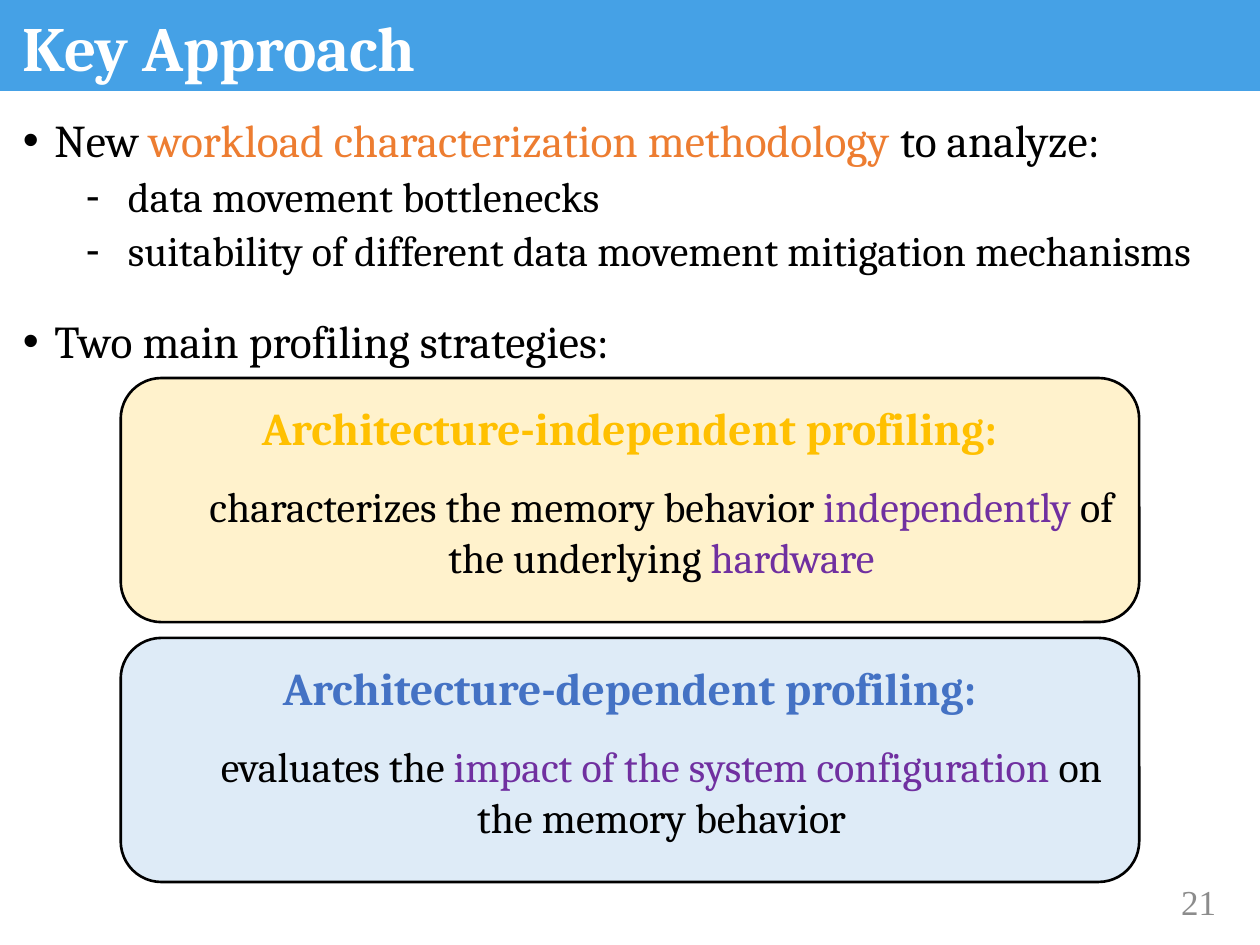
from lxml.etree import SubElement
from pptx import Presentation
from pptx.dml.color import RGBColor
from pptx.enum.shapes import MSO_SHAPE
from pptx.enum.text import MSO_ANCHOR, PP_ALIGN
from pptx.oxml.ns import qn
from pptx.util import Pt

COLORS = {
    "band": "45A1E6", "white": "FFFFFF", "black": "000000",
    "orange": "ED7D31", "purple": "7030A0", "gray": "8C8C8C",
    "gold": "FFC000", "cream": "FFF2CC",
    "blue": "4472C4", "pale_blue": "DEEBF7",
}
SERIF = "Cambria"


def color(name):
    return RGBColor.from_string(COLORS[name])


def add_runs(paragraph, pieces, size, bold=False, font=SERIF):
    """Add (text, color name) pieces that share one font."""
    for text, color_name in pieces:
        run = paragraph.add_run()
        run.text = text
        run.font.name = font
        run.font.size = Pt(size)
        run.font.bold = bold
        run.font.color.rgb = color(color_name)


def indent(paragraph, margin, first=0, bullet=None):
    properties = paragraph._p.get_or_add_pPr()
    properties.set("marL", str(Pt(margin)))
    properties.set("indent", str(Pt(first)))
    if bullet:
        SubElement(properties, qn("a:buFont")).set("typeface", "Arial")
        SubElement(properties, qn("a:buChar")).set("char", bullet)


def add_text_frame(slide, box):
    frame = slide.shapes.add_textbox(*map(Pt, box)).text_frame
    frame.word_wrap = True
    return frame


def add_block(slide, kind, box, fill):
    block = slide.shapes.add_shape(kind, *map(Pt, box))
    block.shadow.inherit = False
    block.fill.solid()
    block.fill.fore_color.rgb = color(fill)
    return block


def add_header(slide, box, title):
    left, top, width, height = box
    band = add_block(slide, MSO_SHAPE.RECTANGLE, box, "band")
    band.line.fill.background()
    frame = add_text_frame(slide, (left + 6, top + 8, width - 12, height + 4))
    heading = frame.paragraphs[0]
    heading.line_spacing = 0.9
    add_runs(heading, [(title, "white")], 36, bold=True)


def add_outline(slide, box, items):
    """Place bullets given as (level, space before, pieces)."""
    styles = [(26, 18, -18, "•"), (24, 60, -24, "-")]
    frame = add_text_frame(slide, box)
    for index, (level, space, pieces) in enumerate(items):
        size, margin, first, bullet = styles[level]
        item = frame.add_paragraph() if index else frame.paragraphs[0]
        item.level = level
        item.line_spacing = 0.9
        item.space_before = Pt(space)
        indent(item, margin, first, bullet)
        add_runs(item, pieces, size)


def add_strategy(slide, box, fill, accent, title, description):
    card = add_block(slide, MSO_SHAPE.ROUNDED_RECTANGLE, box, fill)
    card.line.color.rgb = color("black")
    card.line.width = Pt(1.5)
    frame = card.text_frame
    frame.word_wrap = True
    frame.vertical_anchor = MSO_ANCHOR.MIDDLE
    frame.margin_bottom = Pt(14)
    heading = frame.paragraphs[0]
    heading.alignment = PP_ALIGN.CENTER
    add_runs(heading, [(title, accent)], 26, bold=True)
    detail = frame.add_paragraph()
    detail.level = 1
    detail.alignment = PP_ALIGN.CENTER
    detail.space_before = Pt(15)
    indent(detail, 36)
    add_runs(detail, description, 24)


def add_page_number(slide, box, number):
    frame = add_text_frame(slide, box)
    frame.vertical_anchor = MSO_ANCHOR.MIDDLE
    page = frame.paragraphs[0]
    page.alignment = PP_ALIGN.RIGHT
    add_runs(page, [(number, "gray")], 20, font="Times New Roman")


def main():
    presentation = Presentation()
    presentation.slide_width, presentation.slide_height = Pt(720), Pt(540)
    slide = presentation.slides.add_slide(presentation.slide_layouts[6])

    add_header(slide, (0, -2, 720, 54), "Key Approach")
    add_outline(slide, (6, 64, 708, 426), [
        (0, 0, [("New ", "black"),
                ("workload characterization methodology ", "orange"),
                ("to analyze:", "black")]),
        (1, 5, [("data movement bottlenecks", "black")]),
        (1, 5, [("suitability of different data movement mitigation mechanisms",
                 "black")]),
        (0, 25, [("Two main profiling strategies:", "black")]),
    ])

    strategies = [
        ("cream", "gold", "Architecture-independent profiling:",
         [("characterizes the memory behavior ", "black"),
          ("independently", "purple"),
          (" of the underlying ", "black"),
          ("hardware", "purple")]),
        ("pale_blue", "blue", "Architecture-dependent profiling:",
         [("evaluates the ", "black"),
          ("impact of the system configuration ", "purple"),
          ("on the memory behavior", "black")]),
    ]
    card_height, gap = 139.5, 9
    for index, strategy in enumerate(strategies):
        top = 216 + index * (card_height + gap)
        add_strategy(slide, (69, top, 582, card_height), *strategy)

    add_page_number(slide, (624, 500.5, 78, 29), "21")
    presentation.save("out.pptx")


if __name__ == "__main__":
    main()
